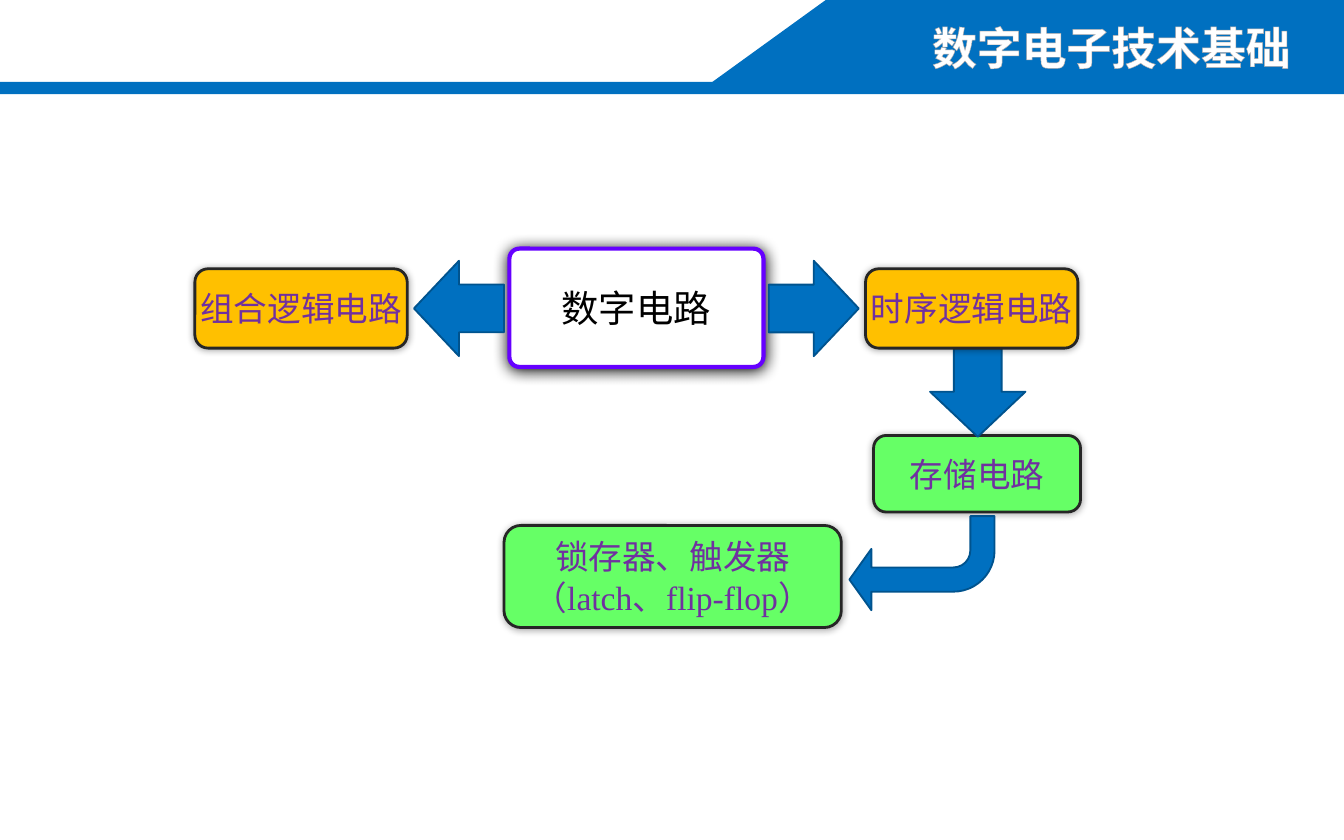
from dataclasses import dataclass

from lxml import etree
from pptx import Presentation
from pptx.dml.color import RGBColor
from pptx.enum.shapes import MSO_SHAPE
from pptx.enum.text import MSO_ANCHOR, PP_ALIGN
from pptx.oxml.ns import qn
from pptx.util import Inches, Pt

RECT = MSO_SHAPE.RECTANGLE
SLANT = MSO_SHAPE.FLOWCHART_DATA
ROUNDED = MSO_SHAPE.ROUNDED_RECTANGLE
DOWN_ARROW = MSO_SHAPE.DOWN_ARROW
BENT_ARROW = MSO_SHAPE.BENT_ARROW
CENTER, RIGHT = PP_ALIGN.CENTER, PP_ALIGN.RIGHT
TOP, MIDDLE = MSO_ANCHOR.TOP, MSO_ANCHOR.MIDDLE


@dataclass(frozen=True)
class Theme:
    blue: str = "0070C0"
    arrow_edge: str = "00538E"
    orange: str = "FFC000"
    green: str = "66FF66"
    white: str = "FFFFFF"
    black: str = "000000"
    violet: str = "6600FF"
    box_edge: str = "262626"
    label: str = "7030A0"
    title_edge: str = "AFABAB"
    cjk: str = "Noto Sans CJK SC"
    latin: str = "Times New Roman"
    title_size: int = 24
    root_size: int = 20
    label_size: int = 18


THEME = Theme()


def add_colored(parent, tag, color, alpha=None):
    """Append a DrawingML colour element below a new tag, or straight into parent."""
    holder = etree.SubElement(parent, qn(tag)) if tag else parent
    value = etree.SubElement(holder, qn("a:srgbClr"), val=color)
    if alpha is not None:
        etree.SubElement(value, qn("a:alpha"), val=str(alpha * 1000))


def add_shadow(shape, alpha, blur, distance):
    effects = shape._element.spPr.find(qn("a:effectLst"))
    shadow = etree.SubElement(effects, qn("a:outerShdw"), blurRad=str(Pt(blur)),
                              dist=str(Pt(distance)), dir="5400000", algn="ctr", rotWithShape="0")
    add_colored(shadow, None, THEME.black, alpha)


def add_block(slide, kind, bounds, fill, edge=None, edge_width=1, adjust=(), rotation=0):
    shape = slide.shapes.add_shape(kind, *map(Inches, bounds))
    shape.fill.solid()
    shape.fill.fore_color.rgb = RGBColor.from_string(fill)
    if edge:
        shape.line.color.rgb = RGBColor.from_string(edge)
        shape.line.width = Pt(edge_width)
    else:
        shape.line.fill.background()
    shape.shadow.inherit = False
    for index, value in enumerate(adjust):
        shape.adjustments[index] = value
    shape.rotation = rotation
    return shape


def write(shape, paragraphs, *, size, color, bold=False, align=CENTER, anchor=MIDDLE,
          side_inset=0.1, line_spacing=None, outline=None):
    """Fill a shape with paragraphs, each a list of (text, latin font) runs."""
    frame = shape.text_frame
    frame.word_wrap = True
    frame.vertical_anchor = anchor
    frame.margin_left = frame.margin_right = Inches(side_inset)
    for index, runs in enumerate(paragraphs):
        paragraph = frame.add_paragraph() if index else frame.paragraphs[0]
        paragraph.alignment = align
        if line_spacing:
            paragraph.line_spacing = line_spacing
        for text, face in runs:
            run = paragraph.add_run()
            run.text = text
            run.font.size = Pt(size)
            run.font.bold = bold
            run.font.color.rgb = RGBColor.from_string(color)
            run.font.name = face
            properties = run.font._element
            etree.SubElement(properties, qn("a:ea"), typeface=THEME.cjk)
            if outline:
                edge = etree.Element(qn("a:ln"), w=str(Pt(1)))
                add_colored(edge, "a:solidFill", outline)
                properties.insert(0, edge)


def add_header(slide):
    for kind, bounds in ((RECT, (0, 0.61, 10, 0.09)), (RECT, (7.42, 0, 2.58, 0.61)),
                         (SLANT, (5.3, 0, 4.22, 0.61))):
        add_block(slide, kind, bounds, THEME.blue)
    title = slide.shapes.add_textbox(*map(Inches, (6.17, 0, 3.53, 0.61)))
    write(title, [[("数字电子技术基础", THEME.cjk)]], size=THEME.title_size, color=THEME.white,
          bold=True, align=RIGHT, anchor=TOP, line_spacing=1.25, outline=THEME.title_edge)


def add_node(slide, bounds, fill, *paragraphs):
    node = add_block(slide, ROUNDED, bounds, fill, THEME.box_edge, 1.5)
    add_shadow(node, alpha=35, blur=4, distance=0.5)
    write(node, paragraphs, size=THEME.label_size, color=THEME.label, side_inset=0)


def add_root(slide):
    root = add_block(slide, ROUNDED, (3.79, 1.85, 1.89, 0.88), THEME.white,
                     THEME.violet, 2.25, adjust=[0.085])
    add_shadow(root, alpha=100, blur=8.5, distance=1)
    write(root, [[("数字电路", THEME.cjk)]], size=THEME.root_size, color=THEME.black)


def add_arrow(slide, left, top, rotation=0):
    add_block(slide, DOWN_ARROW, (left, top, 0.71, 0.67), THEME.blue, THEME.arrow_edge,
              rotation=rotation)


def main():
    deck = Presentation()
    deck.slide_width, deck.slide_height = Inches(10), Inches(6.25)
    slide = deck.slides.add_slide(deck.slide_layouts[6])
    add_header(slide)

    add_node(slide, (1.45, 2, 1.58, 0.59), THEME.orange, [("组合逻辑电路", THEME.cjk)])
    add_node(slide, (6.5, 3.24, 1.54, 0.57), THEME.green, [("存储电路", THEME.cjk)])
    add_arrow(slide, 6.92, 2.58)
    add_root(slide)
    add_arrow(slide, 5.7, 1.96, rotation=270)
    add_arrow(slide, 3.06, 1.96, rotation=90)
    add_node(slide, (6.44, 2, 1.58, 0.59), THEME.orange, [("时序逻辑电路", THEME.cjk)])

    add_block(slide, BENT_ARROW, (6.32, 3.84, 1.08, 0.7), THEME.blue, THEME.arrow_edge,
              adjust=(0.258, 0.326, 0.233, 0.438), rotation=180)
    add_node(slide, (3.75, 3.91, 2.51, 0.76), THEME.green,
             [("锁存器、触发器", THEME.cjk)],
             [("（", THEME.cjk), ("latch、flip-flop", THEME.latin), ("）", THEME.cjk)])
    deck.save("out.pptx")


if __name__ == "__main__":
    main()
